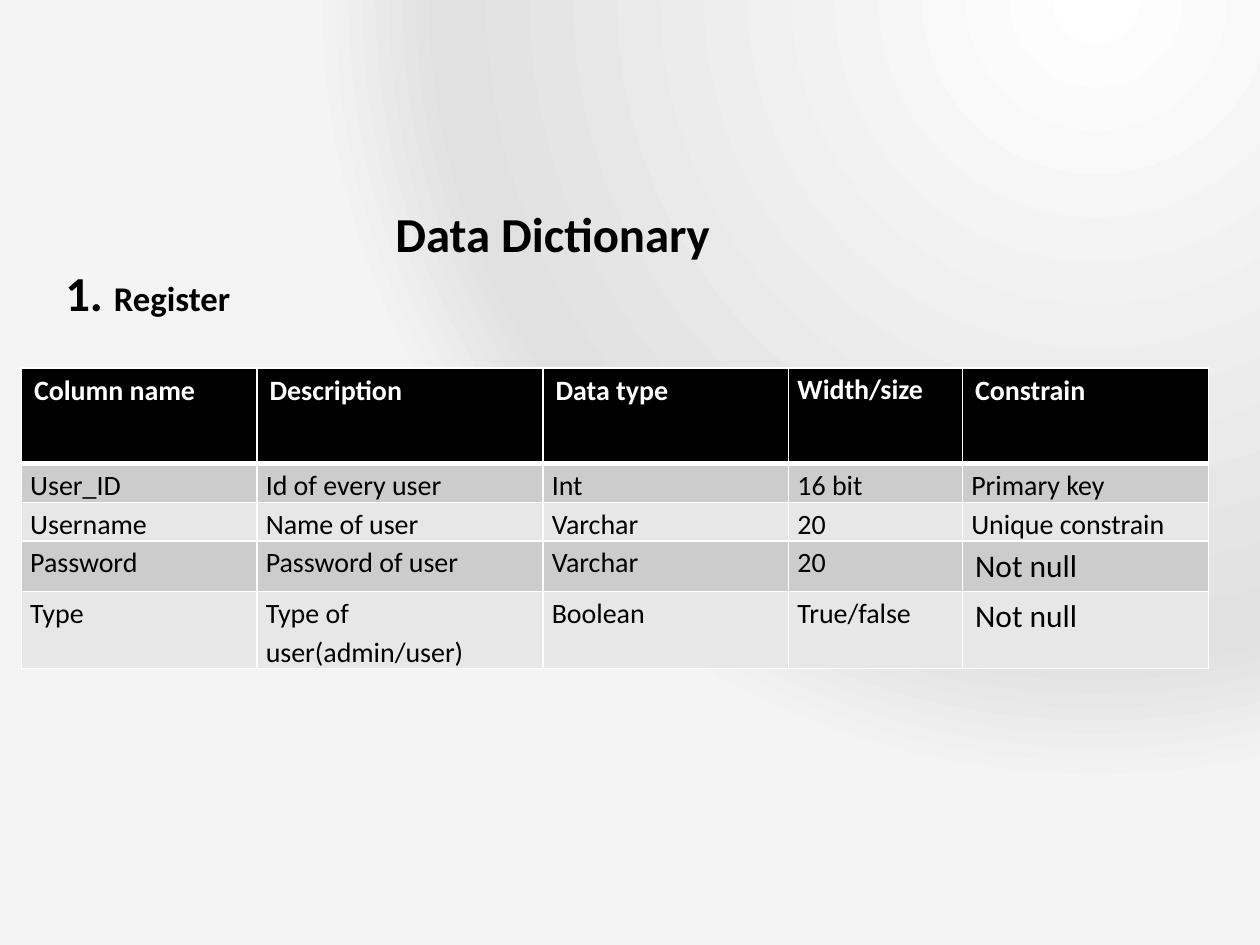
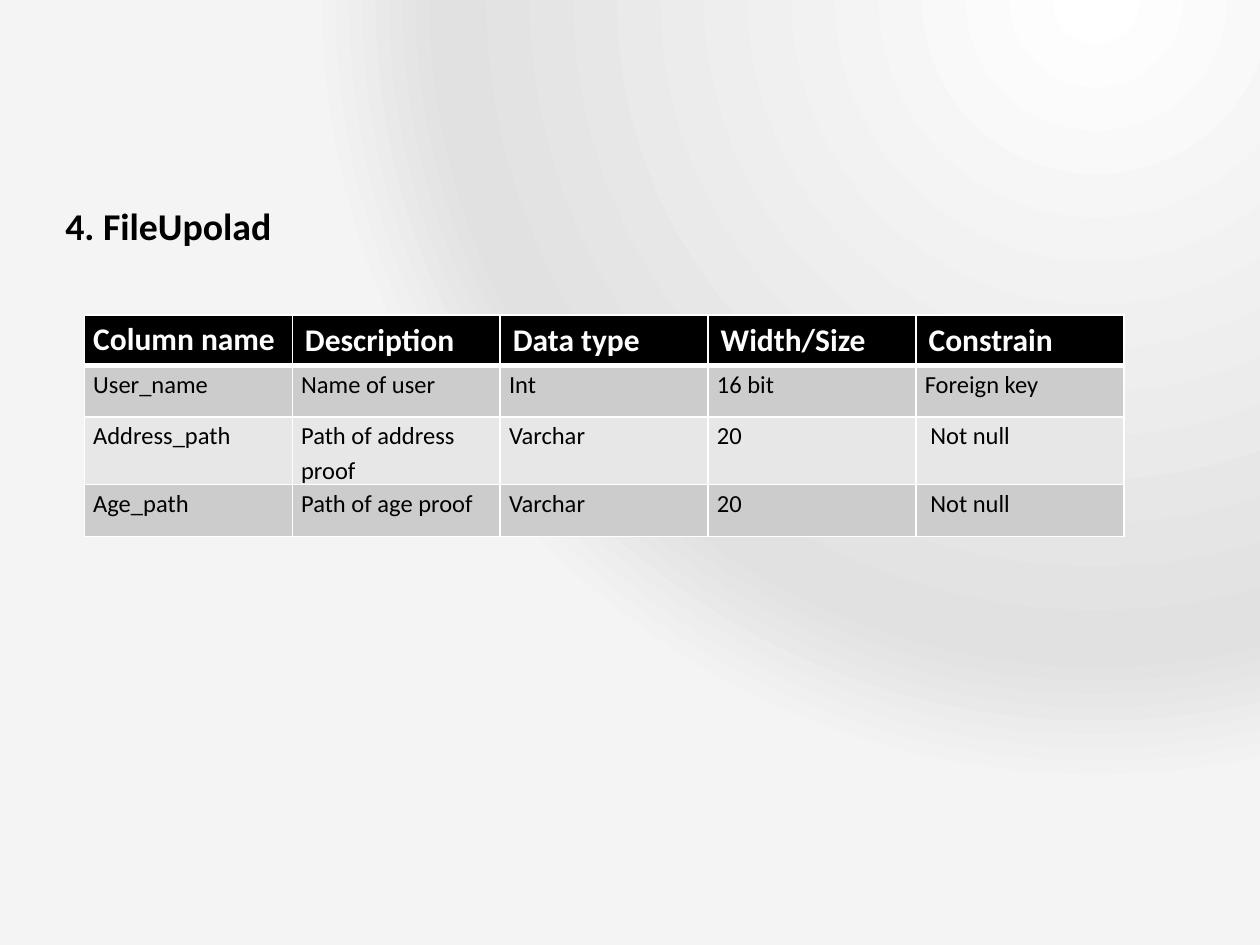
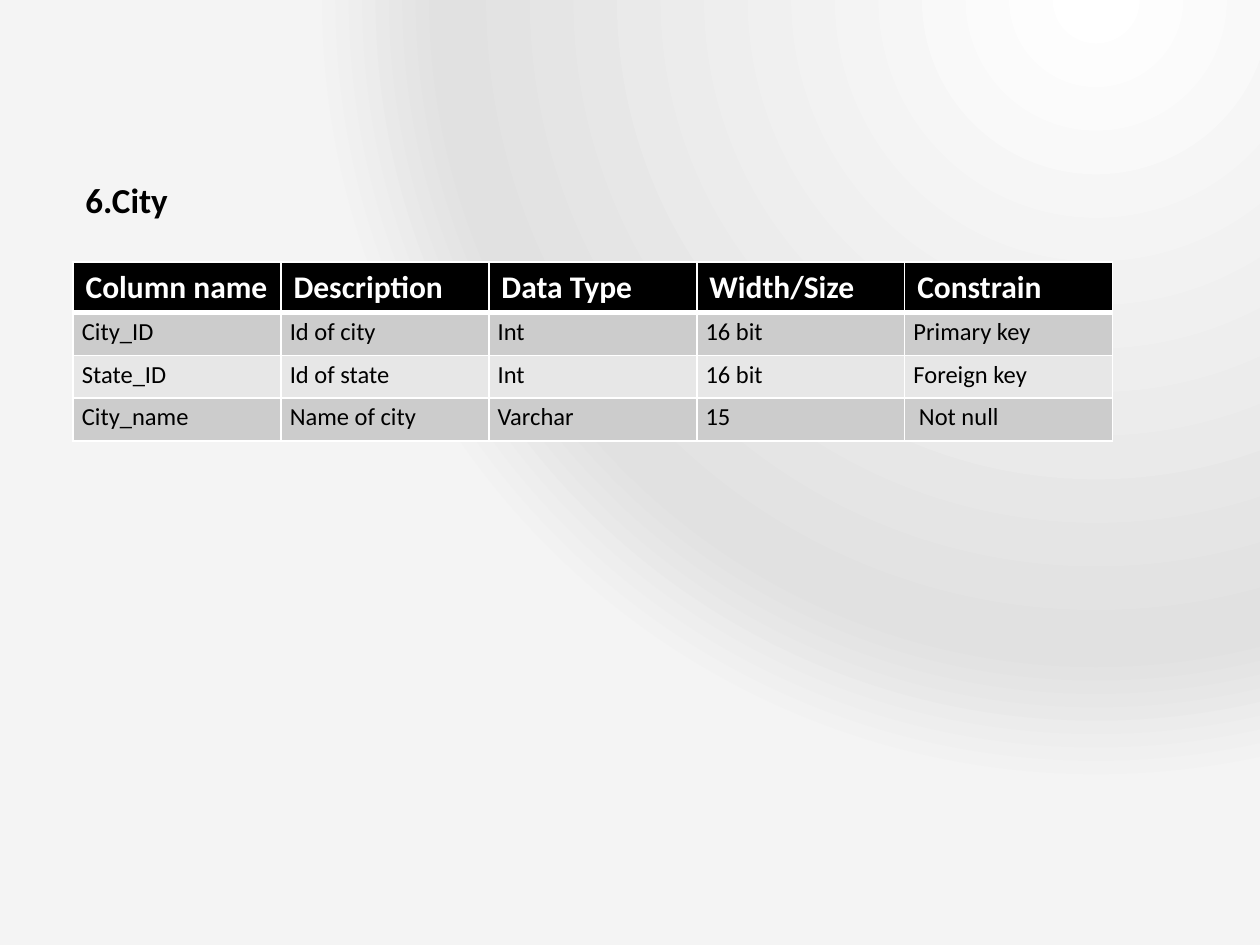
from lxml.etree import SubElement
from pptx import Presentation
from pptx.dml.color import RGBColor
from pptx.enum.text import MSO_ANCHOR as Anchor
from pptx.oxml import parse_xml
from pptx.oxml.ns import nsdecls, qn
from pptx.util import Inches, Pt

FONT = "Calibri"
BLACK, WHITE = "000000", "FFFFFF"
BANDS = ("CCCCCC", "E7E7E7")
BACKDROP = ((0, "FFFFFF"), (83, "E1E1E1"), (100, "F4F4F4"))


def color(value):
    return RGBColor.from_string(value)


class Deck:
    def __init__(self):
        self.presentation = Presentation()
        self.presentation.slide_width = Inches(10)
        self.presentation.slide_height = Inches(7.5)
        self.slide = None
        self.backdrop()

    def backdrop(self):
        stops = "".join(
            f'<a:gs pos="{position * 1000}"><a:srgbClr val="{value}"/></a:gs>'
            for position, value in BACKDROP
        )
        background = parse_xml(
            f'<p:bg {nsdecls("p", "a")}><p:bgPr><a:gradFill rotWithShape="1">'
            f'<a:gsLst>{stops}</a:gsLst><a:path path="circle">'
            '<a:fillToRect l="75000" t="100000" r="0" b="300000"/></a:path>'
            "</a:gradFill><a:effectLst/></p:bgPr></p:bg>"
        )
        content = self.presentation.slide_master.element.find(qn("p:cSld"))
        content.replace(content.find(qn("p:bg")), background)

    def new_slide(self):
        self.slide = self.presentation.slides.add_slide(self.presentation.slide_layouts[6])

    def run(self, paragraph, text, size, bold=True, value=BLACK):
        run = paragraph.add_run()
        run.text = text
        run.font.name = FONT
        run.font.size = Pt(size)
        run.font.bold = bold
        run.font.color.rgb = color(value)

    def title(self, box, lines, top_inset=0.05):
        shape = self.slide.shapes.add_textbox(*map(Inches, box))
        frame = shape.text_frame
        frame.word_wrap = True
        frame.vertical_anchor = Anchor.MIDDLE
        frame.margin_top = Inches(top_inset)
        for index, (indent, runs) in enumerate(lines):
            paragraph = frame.add_paragraph() if index else frame.paragraphs[0]
            paragraph._p.get_or_add_pPr().set("marL", str(Inches(indent)))
            for text, size in runs:
                self.run(paragraph, text, size)

    def borders(self, cell, top, bottom):
        properties = cell._tc.get_or_add_tcPr()
        for side, width in (("L", 1), ("R", 1), ("T", top), ("B", bottom)):
            line = SubElement(properties, qn(f"a:ln{side}"), w=str(Pt(width)))
            fill = SubElement(line, qn("a:solidFill"))
            SubElement(fill, qn("a:srgbClr"), val=WHITE)

    def cell(self, cell, text, row, size, roomy):
        header = row == 0
        self.borders(cell, 3 if row == 1 else 1, 3 if header else 1)
        cell.fill.solid()
        cell.fill.fore_color.rgb = color(BLACK if header else BANDS[(row - 1) % 2])
        cell.margin_left = cell.margin_right = Inches(0.1 if roomy else 0.07)
        cell.margin_top = cell.margin_bottom = Inches(0.05 if roomy else 0)
        paragraph = cell.text_frame.paragraphs[0]
        if not roomy:
            paragraph.line_spacing = 1.15
        self.run(paragraph, text, size, header, WHITE if header else BLACK)

    def table(self, left, top, widths, heights, rows, sizes, tight_header=None, large="", large_size=18):
        frame = self.slide.shapes.add_table(
            len(rows), len(widths), Inches(left), Inches(top),
            Inches(sum(widths)), Inches(sum(heights)),
        )
        table = frame.table
        table.first_row = table.horz_banding = False
        for column, width in zip(table.columns, widths):
            column.width = Inches(width)
        for row, height in zip(table.rows, heights):
            row.height = Inches(height)
        for row, texts in enumerate(rows):
            for column, text in enumerate(texts):
                is_large = row > 0 and text == large
                roomy = is_large or (row == 0 and column != tight_header)
                size = large_size if is_large else sizes[row > 0]
                self.cell(table.cell(row, column), text, row, size, roomy)


def main():
    deck = Deck()
    even_columns = [1.65] * 5

    deck.new_slide()
    deck.title(
        (0.42, 0.17, 8, 3.83),
        [
            (2.62, [("Data Dictionary", 27.9)]),
            (0, [("1. ", 27.9), ("Register", 19.8)]),
        ],
    )
    register = [
        ("Column name", "Description", "Data type", "Width/size", "Constrain"),
        ("User_ID", "Id of every user", "Int", "16 bit", "Primary key"),
        ("Username", "Name of user", "Varchar", "20", "Unique constrain"),
        ("Password", "Password of user", "Varchar", "20", "Not null"),
        ("Type", "Type of user(admin/user)", "Boolean", "True/false", "Not null"),
    ]
    deck.table(
        0.17, 2.92, [1.87, 2.27, 1.95, 1.38, 1.95], [0.76, 0.24, 0.24, 0.33, 0.49],
        register, (16, 16), tight_header=3, large="Not null",
    )

    deck.new_slide()
    file_upload = [
        ("Column name", "Description", "Data type", "Width/Size", "Constrain"),
        ("User_name", "Name of user", "Int", "16 bit", "Foreign key"),
        ("Address_path", "Path of address proof", "Varchar", "20", " Not null"),
        ("Age_path", "Path of age proof", "Varchar", "20", " Not null"),
    ]
    deck.table(
        0.67, 2.5, even_columns, [0.17] + [0.41] * 3,
        file_upload, (18, 14), tight_header=0,
    )
    deck.title((0.42, 0.5, 8.08, 1.83), [(0, [("4. FileUpolad", 21.6)])], top_inset=0.79)

    deck.new_slide()
    deck.title((0.33, 0.5, 8.08, 2.17), [(0.25, [("6.City", 20)])])
    city = [
        ("Column name", "Description", "Data Type", "Width/Size", "Constrain"),
        ("City_ID", "Id of city", "Int", "16 bit", "Primary key"),
        ("State_ID", "Id of state", "Int", "16 bit", "Foreign key"),
        ("City_name", "Name of city", "Varchar", "15", " Not null"),
    ]
    deck.table(0.58, 2.08, even_columns, [0.34] * 4, city, (18, 14))

    deck.presentation.save("out.pptx")


if __name__ == "__main__":
    main()
